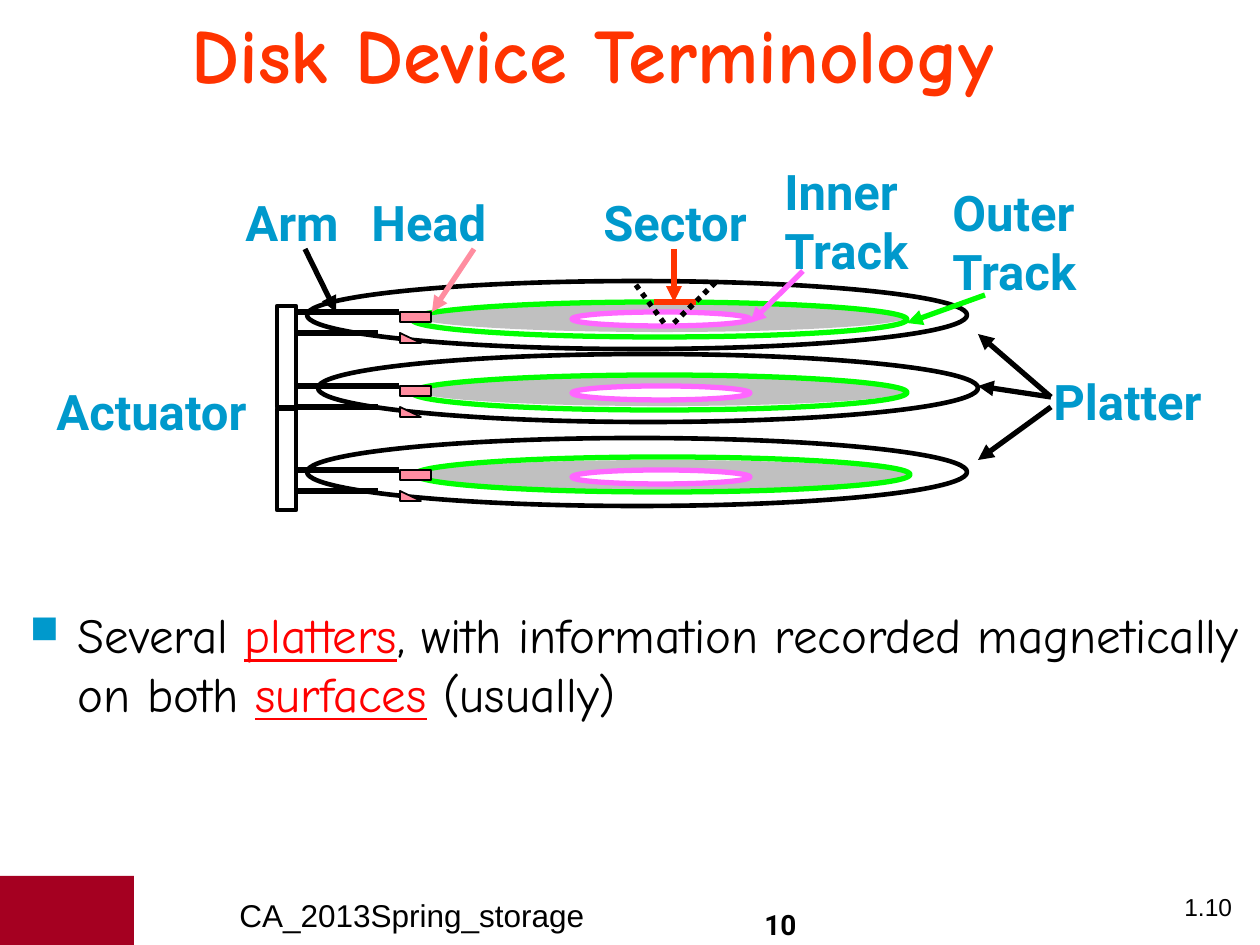
"""Build the slide on disk device terminology."""
from dataclasses import dataclass

from lxml import etree
from pptx import Presentation
from pptx.dml.color import RGBColor
from pptx.enum.dml import MSO_LINE
from pptx.enum.shapes import MSO_CONNECTOR, MSO_SHAPE
from pptx.enum.text import MSO_ANCHOR, MSO_AUTO_SIZE, PP_ALIGN
from pptx.oxml.ns import qn
from pptx.util import Emu, Pt

RECTANGLE, OVAL, TRIANGLE = MSO_SHAPE.RECTANGLE, MSO_SHAPE.OVAL, MSO_SHAPE.RIGHT_TRIANGLE
STRAIGHT, DOTTED = MSO_CONNECTOR.STRAIGHT, MSO_LINE.ROUND_DOT
CENTER, MIDDLE, GROW = PP_ALIGN.CENTER, MSO_ANCHOR.MIDDLE, MSO_AUTO_SIZE.SHAPE_TO_FIT_TEXT
EMU_PER_PX = 914400 / 126


@dataclass(frozen=True)
class Theme:
    black: str = "000000"
    white: str = "FFFFFF"
    gray: str = "C0C0C0"
    maroon: str = "A50021"
    title: str = "FF3300"
    label: str = "0099CC"
    emphasis: str = "FF0000"
    outer: str = "00FF00"
    inner: str = "FF66FF"
    head: str = "FF8DA0"
    display: str = "Comic Neue"
    sans: str = "Roboto"
    footer: str = "Arial"
    title_size: int = 44
    body_size: int = 28
    footer_size: int = 18
    number_size: int = 16
    page_size: int = 14
    thick: float = 3
    rim: float = 2.63
    thin: float = 1


THEME = Theme()
TITLE = "Disk Device Terminology"
BODY = [("Several ", False), ("platters", True),
        (", with information recorded magnetically on both ", False),
        ("surfaces", True), (" (usually)", False)]
LABELS = [
    ("Arm", (233, 186, 123, 72)),
    ("Head", (359, 186, 145, 72)),
    ("Sector", (591, 186, 178, 72)),
    ("Inner\nTrack", (772, 155, 156, 130)),
    ("Outer\nTrack", (940, 176, 156, 130)),
    ("Platter", (1041, 365, 178, 72)),
    ("Actuator", (44, 375, 227, 72)),
]
PLATTERS = [
    {"arm": 312, "rim": (307, 281), "outer": (412, 302)},
    {"arm": 386, "rim": (318, 354), "outer": (412, 375)},
    {"arm": 470, "rim": (307, 438), "outer": (415, 457)},
]
ACTUATOR_TOPS = [306, 409]
POINTERS = [
    ((1051, 397), (978, 334), THEME.black),
    ((1051, 397), (978, 386), THEME.black),
    ((1051, 407), (978, 460), THEME.black),
    ((985, 295), (907, 323), THEME.outer),
    ((803, 271), (750, 323), THEME.inner),
    ((674, 249), (674, 302), THEME.title),
    ((474, 249), (432, 312), THEME.head),
    ((305, 249), (336, 312), THEME.black),
]
SECTOR_ARC = ((654, 302), (696, 302))
SECTOR_SIDES = [((674, 323), (717, 281)), ((664, 323), (633, 281))]


def px(value):
    return Emu(round(value * EMU_PER_PX))


def rgb(color):
    return RGBColor.from_string(color)


def add_shape(page, kind, box, fill=None, line=None, width=THEME.thick):
    shape = page.shapes.add_shape(kind, *map(px, box))
    shape.shadow.inherit = False
    if fill:
        shape.fill.solid()
        shape.fill.fore_color.rgb = rgb(fill)
    else:
        shape.fill.background()
    if line:
        shape.line.color.rgb = rgb(line)
        shape.line.width = Pt(width)
    else:
        shape.line.fill.background()


def add_line(page, start, end, color, arrow=False, dash=None):
    line = page.shapes.add_connector(STRAIGHT, *map(px, start + end))
    line.line.color.rgb = rgb(color)
    line.line.width = Pt(THEME.thick)
    if dash:
        line.line.dash_style = dash
    if arrow:
        etree.SubElement(line.line._get_or_add_ln(), qn("a:tailEnd"), type="triangle")
    etree.SubElement(line._element.spPr, qn("a:effectLst"))


def style(span, font, size, color, bold=False):
    span.font.name = font
    span.font.size = Pt(size)
    span.font.color.rgb = rgb(color)
    span.font.bold = bold


def add_text(page, text, box, font, size, color, bold=False, wrap=True):
    frame = page.shapes.add_textbox(*map(px, box)).text_frame
    frame.word_wrap = wrap
    if not wrap:
        frame.auto_size = GROW
    frame.text = text
    for para in frame.paragraphs:
        for span in para.runs:
            style(span, font, size, color, bold)
    return frame


def add_body(page):
    frame = add_text(page, "", (21, 601, 1239, 125), THEME.display, THEME.body_size, THEME.black)
    frame.margin_left = frame.margin_right = px(9)
    frame.margin_top = frame.margin_bottom = px(4)
    para = frame.paragraphs[0]
    for text, emphasised in BODY:
        span = para.add_run()
        span.text = text
        style(span, THEME.display, THEME.body_size, THEME.emphasis if emphasised else THEME.black)
        span.font.underline = emphasised
    props = para._p.get_or_add_pPr()
    props.set("marL", str(px(48)))
    props.set("indent", str(px(-48)))
    color = etree.SubElement(props, qn("a:buClr"))
    etree.SubElement(color, qn("a:srgbClr"), val=THEME.label)
    etree.SubElement(props, qn("a:buSzPct"), val="80000")
    etree.SubElement(props, qn("a:buChar"), char="■")


def add_platter(page, platter):
    arm = platter["arm"]
    add_shape(page, OVAL, (*platter["rim"], 660, 68), THEME.white, THEME.black, THEME.rim)
    add_shape(page, OVAL, (417, arm - 10, 490, 30), THEME.gray)
    add_shape(page, OVAL, (*platter["outer"], 495, 35), None, THEME.outer)
    add_shape(page, OVAL, (572, arm, 178, 14), THEME.white, THEME.inner)


def add_arms(page, arm):
    for kind, top, width, reach in ((RECTANGLE, arm, 31, 399), (TRIANGLE, arm + 21, 21, 378)):
        add_shape(page, kind, (400, top, width, 10), THEME.head, THEME.black, THEME.thin)
        add_line(page, (294, top), (reach, top), THEME.black)


def main():
    deck = Presentation()
    deck.slide_width, deck.slide_height = px(1260), px(945)
    page = deck.slides.add_slide(deck.slide_layouts[6])

    add_shape(page, RECTANGLE, (0, 876, 134, 69), THEME.maroon)
    add_text(page, "CA_2013Spring_storage", (227, 890, 493, 55),
             THEME.footer, THEME.footer_size, THEME.black)
    number = add_text(page, "10", (751, 901, 59, 47), THEME.sans, THEME.number_size,
                      THEME.black, bold=True, wrap=False)
    number.paragraphs[0].alignment = CENTER
    add_text(page, "1.10", (1172, 886, 88, 49), THEME.footer, THEME.page_size, THEME.black)
    title = add_text(page, TITLE, (179, 0, 1018, 106), THEME.display, THEME.title_size,
                     THEME.title, bold=True)
    title.vertical_anchor = MIDDLE
    add_body(page)

    for platter in PLATTERS:
        add_platter(page, platter)
    for top in ACTUATOR_TOPS:
        add_shape(page, RECTANGLE, (277, top, 19, 101), None, THEME.black, THEME.rim)
    for platter in PLATTERS:
        add_arms(page, platter["arm"])
    add_line(page, *SECTOR_ARC, THEME.title)
    for start, end in SECTOR_SIDES:
        add_line(page, start, end, THEME.black, dash=DOTTED)
    for start, end, color in POINTERS:
        add_line(page, start, end, color, arrow=True)
    for text, box in LABELS:
        add_text(page, text, box, THEME.sans, THEME.body_size, THEME.label, bold=True, wrap=False)
    deck.save("out.pptx")


if __name__ == "__main__":
    main()
